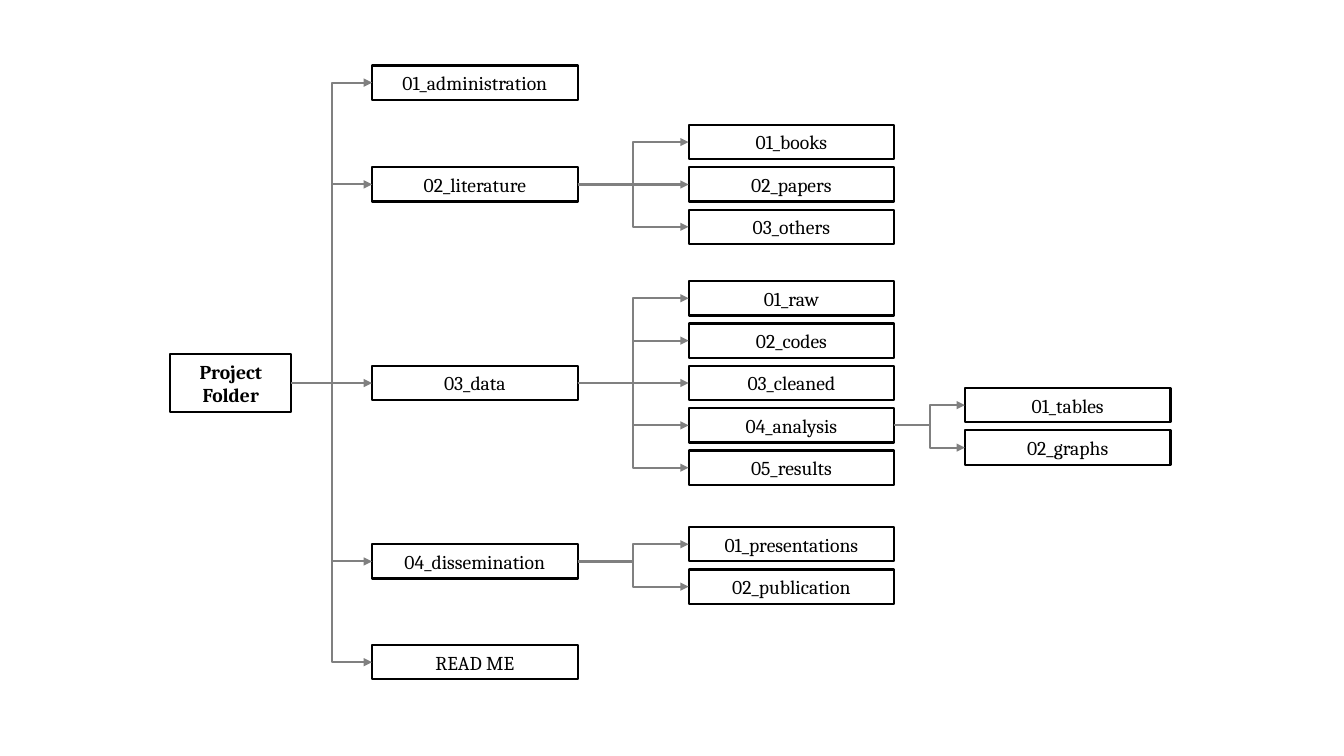
from dataclasses import dataclass

from lxml import etree
from pptx import Presentation
from pptx.dml.color import RGBColor
from pptx.enum.shapes import MSO_CONNECTOR as Connector, MSO_SHAPE as Shape
from pptx.enum.text import MSO_ANCHOR as Anchor, PP_ALIGN as Align
from pptx.oxml.ns import qn
from pptx.util import Inches, Pt

# Content: top-level folders with their top edge, then subfolder groups
ROOT = "Project Folder"
FOLDERS = [
    ("01_administration", 0.65),
    ("02_literature", 1.66),
    ("03_data", 3.63),
    ("04_dissemination", 5.4),
    ("READ ME", 6.4),
]
# (parent, column, top of first box, names)
SUBFOLDERS = [
    ("02_literature", 2, 1.24, ["01_books", "02_papers", "03_others"]),
    ("03_data", 2, 2.79,
     ["01_raw", "02_codes", "03_cleaned", "04_analysis", "05_results"]),
    ("04_dissemination", 2, 5.23, ["01_presentations", "02_publication"]),
    ("04_analysis", 3, 3.85, ["01_tables", "02_graphs"]),
]

# Layout in inches
COLUMN_LEFTS = [1.69, 3.69, 6.83, 9.57]
ROOT_TOP, ROOT_WIDTH, ROOT_HEIGHT = 3.51, 1.2, 0.58
BOX_WIDTH, BOX_HEIGHT, ROW_PITCH = 2.04, 0.34, 0.42
LEFT_SITE, RIGHT_SITE = 1, 3


@dataclass(frozen=True)
class Theme:
    font: str = "Cambria"
    size: Pt = Pt(14)
    line_width: Pt = Pt(1.5)
    ink: RGBColor = RGBColor(0x00, 0x00, 0x00)
    arrow: RGBColor = RGBColor(0x80, 0x80, 0x80)


THEME = Theme()


def add_box(slide, text, column, top, width=BOX_WIDTH, height=BOX_HEIGHT, bold=False):
    shape = slide.shapes.add_shape(
        Shape.RECTANGLE, Inches(COLUMN_LEFTS[column]), Inches(top),
        Inches(width), Inches(height))
    shape.shadow.inherit = False
    shape.fill.background()
    shape.line.color.rgb = THEME.ink
    shape.line.width = THEME.line_width
    frame = shape.text_frame
    frame.word_wrap = True
    frame.vertical_anchor = Anchor.MIDDLE
    paragraph = frame.paragraphs[0]
    paragraph.alignment = Align.CENTER
    run = paragraph.add_run()
    run.text = text
    run.font.name = THEME.font
    run.font.size = THEME.size
    run.font.bold = bold
    run.font.color.rgb = THEME.ink
    return shape


def add_arrow(slide, parent, child):
    """Join the boxes: straight on a shared row, otherwise with an elbow."""
    rise = child.top + child.height / 2 - parent.top - parent.height / 2
    kind = Connector.STRAIGHT if abs(rise) < Inches(0.02) else Connector.ELBOW
    arrow = slide.shapes.add_connector(kind, 0, 0, 0, 0)
    arrow.begin_connect(parent, RIGHT_SITE)
    arrow.end_connect(child, LEFT_SITE)
    arrow.line.color.rgb = THEME.arrow
    arrow.line.width = THEME.line_width
    etree.SubElement(arrow.line._get_or_add_ln(), qn("a:tailEnd"), type="triangle")
    etree.SubElement(arrow._element.spPr, qn("a:effectLst"))


def main():
    presentation = Presentation()
    presentation.slide_width = Inches(13.33)
    presentation.slide_height = Inches(7.5)
    slide = presentation.slides.add_slide(presentation.slide_layouts[6])

    # Project folder and its direct folders
    root = add_box(slide, ROOT, 0, ROOT_TOP, ROOT_WIDTH, ROOT_HEIGHT, bold=True)
    boxes = {}
    for name, top in FOLDERS:
        boxes[name] = add_box(slide, name, 1, top)
        add_arrow(slide, root, boxes[name])

    # Subfolders, stacked at an even pitch
    for parent, column, first_top, names in SUBFOLDERS:
        for row, name in enumerate(names):
            boxes[name] = add_box(slide, name, column, first_top + row * ROW_PITCH)
            add_arrow(slide, boxes[parent], boxes[name])

    presentation.save("out.pptx")


if __name__ == "__main__":
    main()
